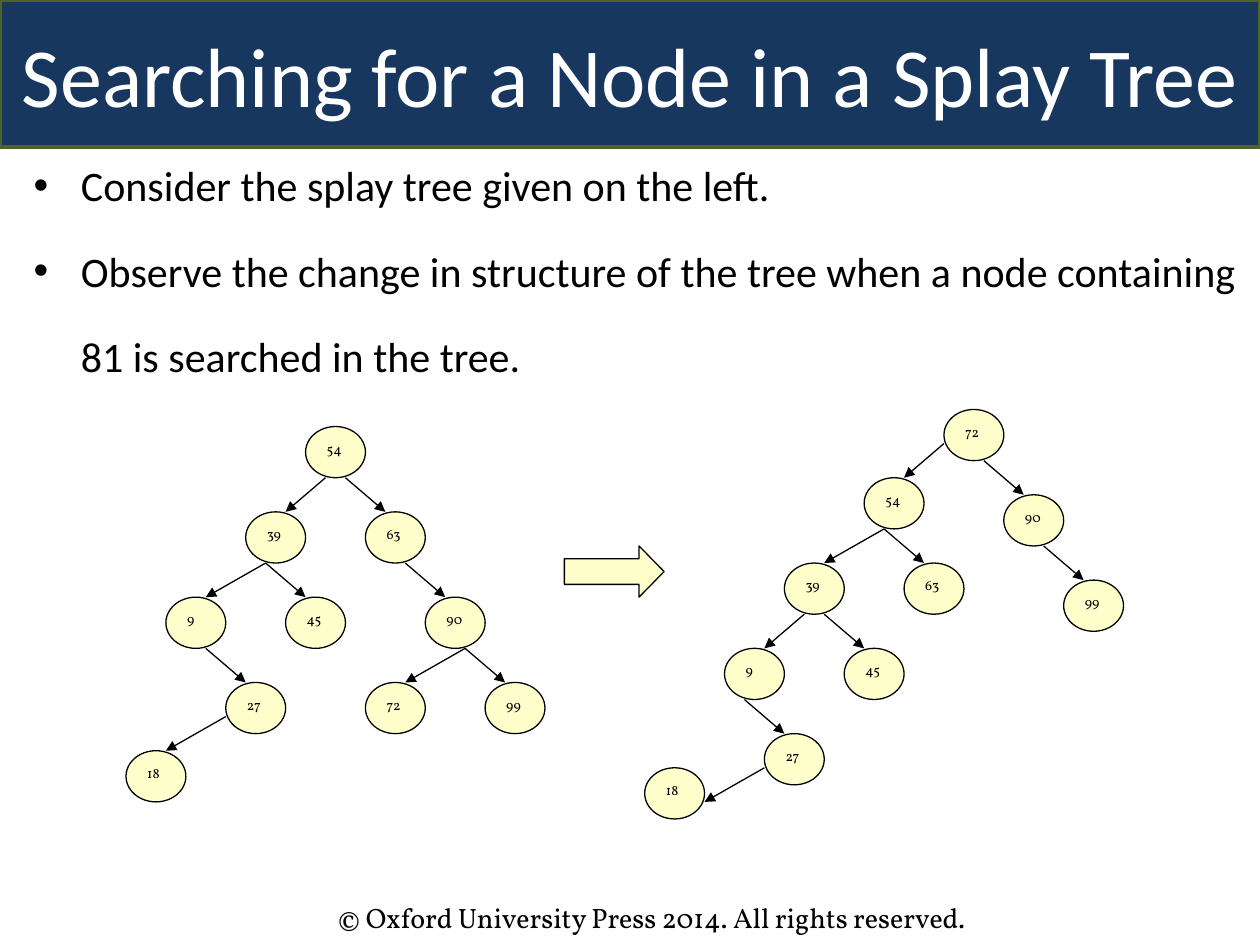
"""Build the slide on searching for a node in a splay tree."""
import lxml.etree
import pptx
import pptx.dml.color
import pptx.enum.shapes
import pptx.enum.text
import pptx.oxml.ns
import pptx.util

Pt = pptx.util.Pt
SHAPES = pptx.enum.shapes.MSO_SHAPE
ANCHOR = pptx.enum.text.MSO_ANCHOR
ALIGN = pptx.enum.text.PP_ALIGN
STEP_X, STEP_Y = 11.4, 9.75
NODE_STEPS = 3
BOTTOM_LEFT, BOTTOM_RIGHT, SIDE = (1, 3), (2, 3), (0, 2)
TOP_LEFT, TOP_RIGHT, RIGHT_SIDE = (1, 0), (2, 0), (3, 2)


def paint(color_format, hex_color):
    """Give a fill, line fill or font a solid colour."""
    if hasattr(color_format, "solid"):
        color_format.solid()
        color_format = color_format.fore_color
    else:
        color_format = color_format.color
    color_format.rgb = pptx.dml.color.RGBColor.from_string(hex_color)


def set_font(para, name, size, hex_color):
    """Set the typeface, size and colour of a paragraph."""
    para.font.name = name
    para.font.size = Pt(size)
    paint(para.font, hex_color)


trees = [
    {
        "origin": (72, 243.75),
        "nodes": {54: (9, 0), 39: (6, 5), 63: (12, 5), 9: (2, 10), 45: (8, 10),
                  27: (5, 15), 18: (0, 19), 90: (15, 10), 72: (12, 15), 99: (18, 15)},
        "edges": [(54, BOTTOM_LEFT, 39, TOP_RIGHT), (54, BOTTOM_RIGHT, 63, TOP_LEFT),
                  (39, BOTTOM_LEFT, 9, TOP_RIGHT), (39, BOTTOM_LEFT, 45, TOP_LEFT),
                  (9, BOTTOM_RIGHT, 27, TOP_LEFT), (27, SIDE, 18, TOP_RIGHT),
                  (63, BOTTOM_RIGHT, 90, TOP_LEFT), (90, BOTTOM_RIGHT, 72, TOP_RIGHT),
                  (90, BOTTOM_RIGHT, 99, TOP_LEFT)],
    },
    {
        "origin": (368.4, 234),
        "nodes": {72: (15, 0), 90: (18, 5), 99: (21, 10), 54: (11, 4), 39: (7, 9),
                  63: (13, 9), 9: (4, 14), 18: (0, 21), 27: (6, 19), 45: (10, 14)},
        "edges": [(72, BOTTOM_RIGHT, 90, TOP_LEFT), (90, BOTTOM_RIGHT, 99, TOP_LEFT),
                  (72, SIDE, 54, TOP_RIGHT), (54, BOTTOM_LEFT, 39, TOP_RIGHT),
                  (54, BOTTOM_LEFT, 63, TOP_LEFT), (39, BOTTOM_LEFT, 9, TOP_RIGHT),
                  (27, SIDE, 18, RIGHT_SIDE), (9, BOTTOM_LEFT, 27, TOP_LEFT),
                  (39, BOTTOM_RIGHT, 45, TOP_LEFT)],
    },
]

deck = pptx.Presentation()
deck.slide_width, deck.slide_height = Pt(720), Pt(540)
slide = deck.slides.add_slide(deck.slide_layouts[1])

title = slide.shapes.title
title.left, title.top, title.width, title.height = Pt(0), Pt(0), Pt(720), Pt(84)
paint(title.fill, "17375E")
paint(title.line.fill, "4F6228")
title.line.width = Pt(2)
title.text_frame.text = "Searching for a Node in a Splay Tree"
title.text_frame.auto_size = pptx.enum.text.MSO_AUTO_SIZE.NONE
title.text_frame.vertical_anchor = ANCHOR.MIDDLE
title.text_frame.paragraphs[0].alignment = ALIGN.CENTER
set_font(title.text_frame.paragraphs[0], "Calibri", 48, "FFFFFF")

body = slide.placeholders[1]
body.left, body.top, body.width, body.height = Pt(12), Pt(67.5), Pt(708), Pt(154)
body.text_frame.text = (
    "Consider the splay tree given on the left.\n"
    "Observe the change in structure of the tree when a node containing "
    "81 is searched in the tree."
)
body.text_frame.auto_size = pptx.enum.text.MSO_AUTO_SIZE.NONE
body.text_frame.vertical_anchor = ANCHOR.MIDDLE
for para in body.text_frame.paragraphs:
    para.line_spacing = 1.7
    para.space_before = Pt(0)
    set_font(para, "Calibri", 24, "000000")

for tree in trees:
    origin_x, origin_y = tree["origin"]
    group = slide.shapes.add_group_shape()
    for value, (column, row) in tree["nodes"].items():
        node = group.shapes.add_shape(
            SHAPES.OVAL, Pt(origin_x + column * STEP_X), Pt(origin_y + row * STEP_Y),
            Pt(NODE_STEPS * STEP_X), Pt(NODE_STEPS * STEP_Y))
        node.shadow.inherit = False
        paint(node.fill, "FFFFCC")
        paint(node.line.fill, "000000")
        node.line.width = Pt(0.75)
        node.text_frame.text = str(value)
        node.text_frame.vertical_anchor = ANCHOR.TOP
        node.text_frame.paragraphs[0].alignment = ALIGN.LEFT
        set_font(node.text_frame.paragraphs[0], "Vollkorn", 8, "000000")
    for parent, leave, child, enter in tree["edges"]:
        ends = []
        for value, offset in ((parent, leave), (child, enter)):
            column, row = tree["nodes"][value]
            ends += [Pt(origin_x + (column + offset[0]) * STEP_X),
                     Pt(origin_y + (row + offset[1]) * STEP_Y)]
        edge = group.shapes.add_connector(pptx.enum.shapes.MSO_CONNECTOR.STRAIGHT, *ends)
        paint(edge.line.fill, "000000")
        edge.line.width = Pt(0.75)
        outline = edge.line._get_or_add_ln()
        lxml.etree.SubElement(outline, pptx.oxml.ns.qn("a:tailEnd"), type="triangle")
        lxml.etree.SubElement(edge._element.spPr, pptx.oxml.ns.qn("a:effectLst"))

arrow = slide.shapes.add_shape(SHAPES.RIGHT_ARROW, Pt(322.5), Pt(312), Pt(57), Pt(29.25))
arrow.adjustments[1] = 0.49
arrow.shadow.inherit = False
paint(arrow.fill, "FFFFCC")
paint(arrow.line.fill, "000000")
arrow.line.width = Pt(0.75)

footer = slide.shapes.add_textbox(Pt(186), Pt(511), Pt(426), Pt(26.5))
footer.text_frame.word_wrap = True
footer.text_frame.text = "© Oxford University Press 2014. All rights reserved."
set_font(footer.text_frame.paragraphs[0], "Vollkorn", 16, "000000")

deck.save("out.pptx")
